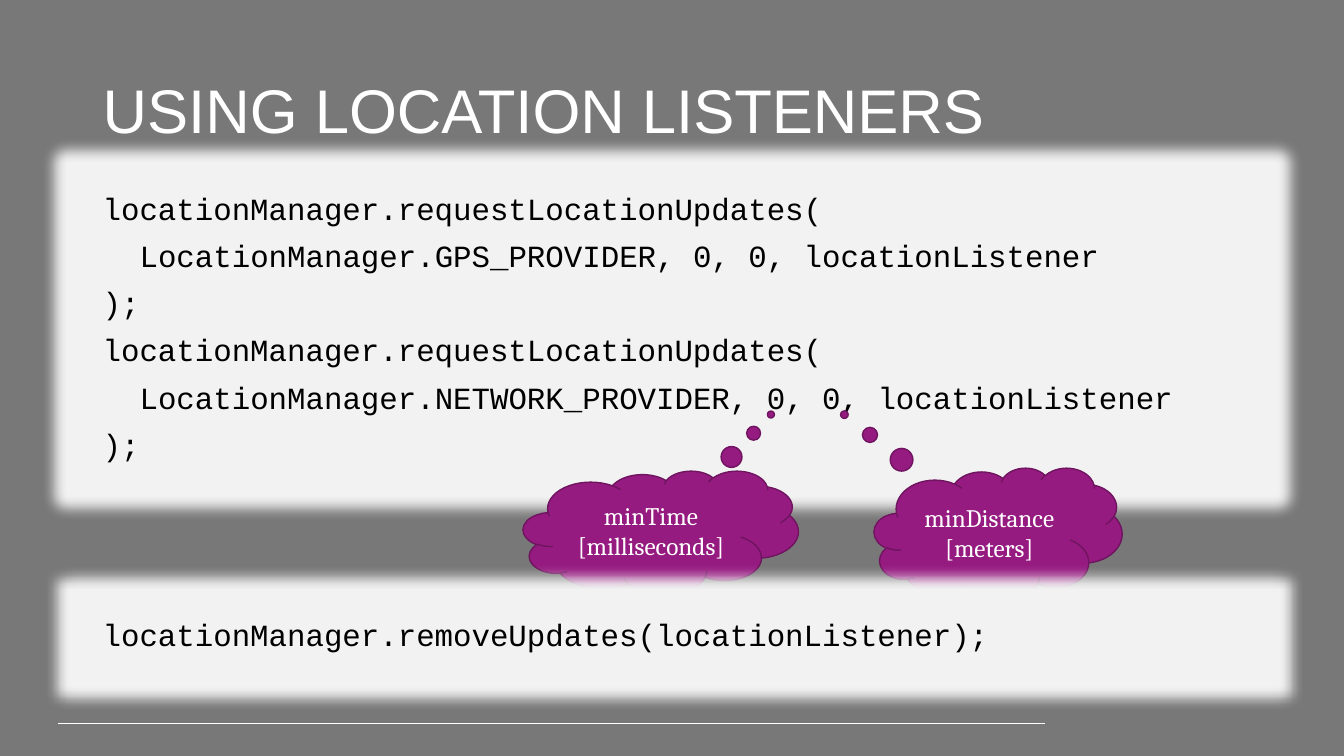
from lxml import etree
from pptx import Presentation, util as u
from pptx.dml.color import RGBColor
from pptx.enum import shapes, text
from pptx.oxml import parse_xml
from pptx.oxml.ns import nsdecls, qn

theme = {
    "back": "787878", "panel": "F2F2F2", "cloud": "961B81", "edge": "6F145F",
    "light": "FFFFFF", "dark": "000000",
    "title": 44, "code": 22, "note": 18,
}
ink = {k: RGBColor.from_string(v) for k, v in theme.items() if isinstance(v, str)}

deck = Presentation()
deck.slide_width, deck.slide_height = u.Inches(13.33), u.Inches(7.5)
slide = deck.slides.add_slide(deck.slide_layouts[6])
slide.background.fill.solid()
slide.background.fill.fore_color.rgb = ink["back"]


def area(x, y, w, h):
    wide, high = deck.slide_width / 100, deck.slide_height / 100
    return int(x * wide), int(y * high), int(w * wide), int(h * high)


def write(shape, lines, size, font, color, anchor="MIDDLE", align="LEFT", lead=None, gap=0):
    frame = shape.text_frame
    frame.word_wrap = True
    frame.vertical_anchor = getattr(text.MSO_ANCHOR, anchor)
    for i, (step, line) in enumerate(lines):
        para = frame.add_paragraph() if i else frame.paragraphs[0]
        para.alignment = getattr(text.PP_ALIGN, align)
        para.line_spacing = lead
        para.space_before = u.Pt(gap)
        if step:
            para._p.get_or_add_pPr().set("marL", str(u.Pt(step * 0.6 * size)))
        run = para.add_run()
        run.text = line
        run.font.size, run.font.name = u.Pt(size), font
        run.font.color.rgb = ink[color]


left, span = 6.9, 86.27

rule = slide.shapes.add_connector(shapes.MSO_CONNECTOR.STRAIGHT, *area(4.28, 95.73, 77.72, 95.73))
rule.line.color.rgb, rule.line.width = ink["light"], u.Pt(0.75)
etree.SubElement(rule._element.spPr, qn("a:effectLst"))

title = slide.shapes.add_textbox(*area(left, 5.33, span, 19.33))
write(title, [(0, "USING LOCATION LISTENERS")], theme["title"], "Arial", "light", lead=0.9)

calls = []
for source in ("GPS", "NETWORK"):
    calls += [
        (0, "locationManager.requestLocationUpdates("),
        (2, f"LocationManager.{source}_PROVIDER, 0, 0, locationListener"),
        (0, ");"),
    ]
stop = [(0, "locationManager.removeUpdates(locationListener);")]
panels = [("panel", (left, 24.93, span, 37.33), calls),
          ("panel", (left, 81.33, span, 5.87), stop)]
clouds = [("cloud", (38.93, 62.27, 20.48, 16.53), "minTime [milliseconds]", (0.4, -0.95)),
          ("cloud", (65.04, 61.87, 18.45, 18), "minDistance [meters]", (-0.62, -0.89))]

for kind, box, words, *tail in [panels[0], *clouds, panels[1]]:
    form = "CLOUD_CALLOUT" if tail else "RECTANGLE"
    shape = slide.shapes.add_shape(getattr(shapes.MSO_SHAPE, form), *area(*box))
    shape.shadow.inherit = False
    shape.fill.solid()
    shape.fill.fore_color.rgb = ink[kind]
    if tail:
        shape.adjustments[0], shape.adjustments[1] = tail[0]
        shape.line.color.rgb, shape.line.width = ink["edge"], u.Pt(1)
        write(shape, [(0, words)], theme["note"], "Cambria", "light", align="CENTER")
    else:
        shape.line.fill.background()
        glow = parse_xml(f'<a:glow {nsdecls("a")} rad="{u.Pt(18)}"><a:srgbClr val="{theme[kind]}"/></a:glow>')
        shape._element.spPr.find(qn("a:effectLst")).append(glow)
        write(shape, words, theme["code"], "Courier New", "dark", anchor="TOP", lead=0.9, gap=10)

deck.save("out.pptx")
